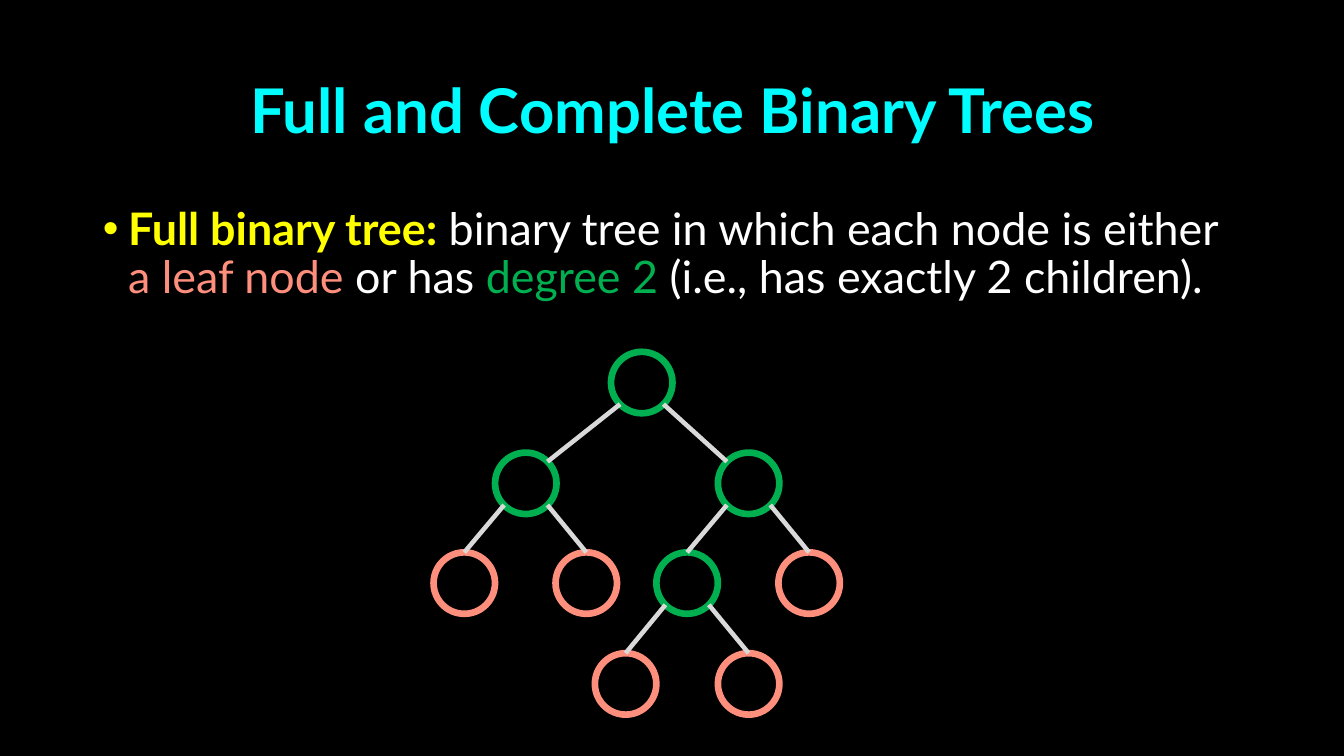
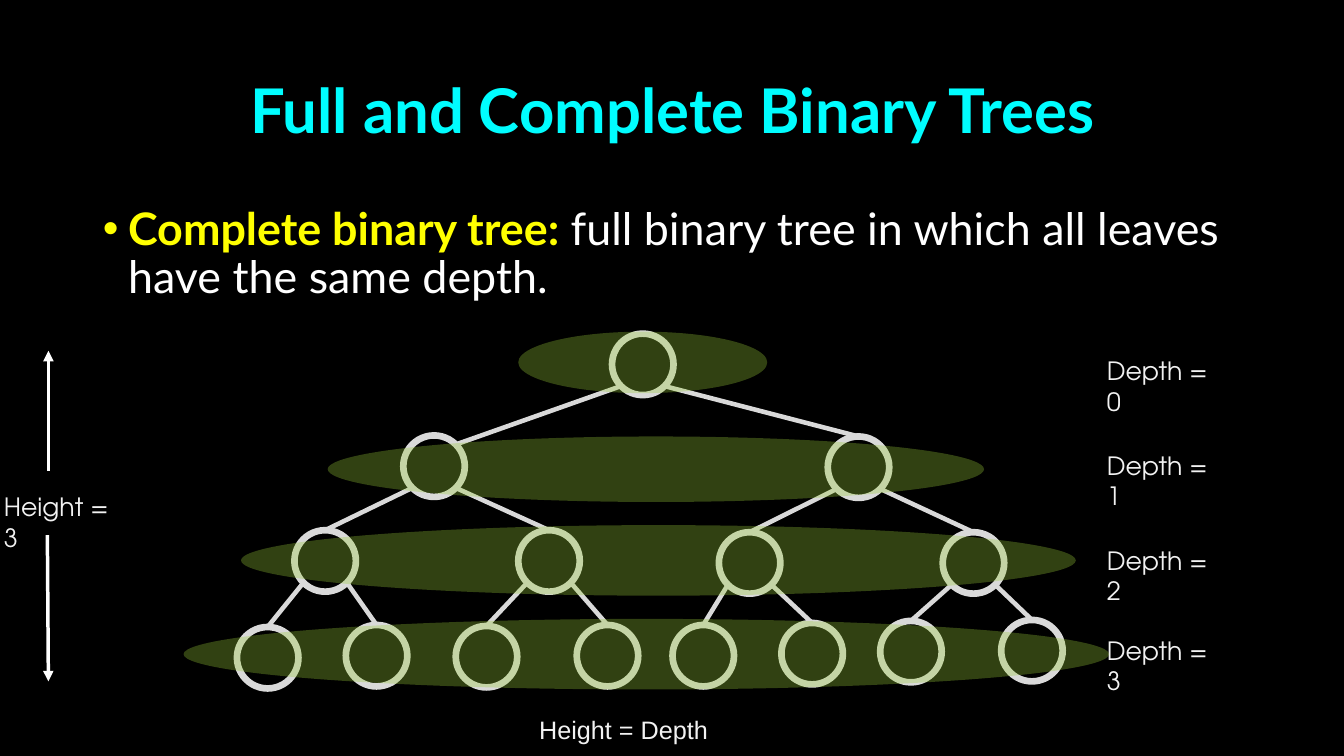
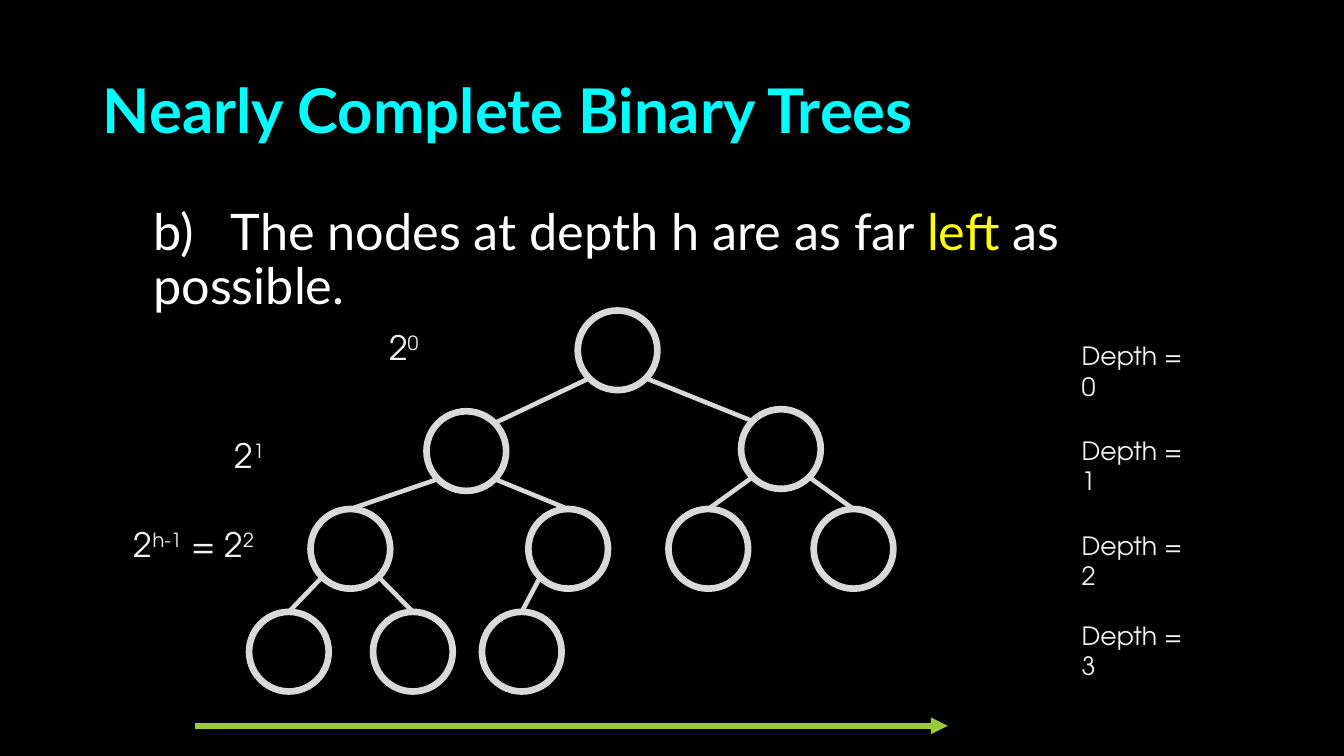
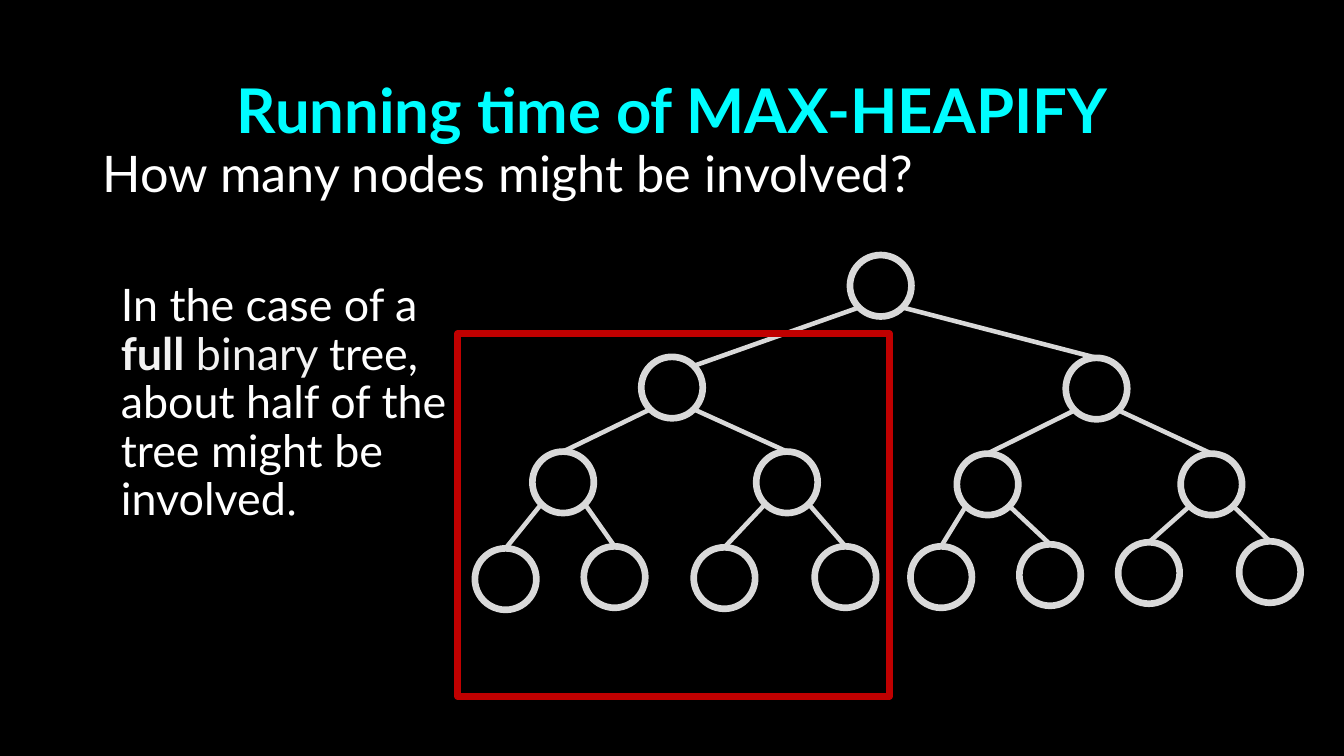
import dataclasses
import math

import lxml.etree
import pptx
import pptx.dml.color
import pptx.enum.shapes
import pptx.enum.text
import pptx.oxml.ns
import pptx.util

PX = 9144  # EMU in one px, 100 px to the inch
CENTER = pptx.enum.text.PP_ALIGN.CENTER
LEFT = pptx.enum.text.PP_ALIGN.LEFT
RIGHT = pptx.enum.text.PP_ALIGN.RIGHT
SHAPES = pptx.enum.shapes.MSO_SHAPE
CORNER = (1 - math.sqrt(0.5)) / 2  # inset of a circle's diagonal point


@dataclasses.dataclass(frozen=True)
class Theme:
    background: str = "000000"
    title: str = "00FDFF"
    text: str = "FFFFFF"
    label: str = "F2F2F2"
    key: str = "FFFF00"
    leaf_text: str = "FF8F7D"
    inner_text: str = "00B050"
    outline: str = "D9D9D9"
    accent: str = "99CB38"
    frame: str = "C00000"
    body_font: str = "Lato"
    label_font: str = "TeX Gyre Adventor"
    caption_font: str = "Arial"
    title_size: int = 44
    large_size: int = 36
    body_size: int = 32
    power_size: int = 24
    label_size: int = 18
    node_line: float = 4.75
    edge_line: float = 3.25
    band_alpha: int = 32


THEME = Theme()


def color(value):
    return pptx.dml.color.RGBColor.from_string(value)


def add_xml(parent, tag, **attributes):
    return lxml.etree.SubElement(parent, pptx.oxml.ns.qn(tag), attributes)


def set_all(target, values):
    for name, value in values.items():
        setattr(target, name, value)


class Deck:
    """Holds the style and the current slide."""

    def __init__(self, theme):
        self.theme = theme
        self.presentation = pptx.Presentation()
        set_all(self.presentation, {"slide_width": 1333 * PX, "slide_height": 750 * PX})
        fill = self.presentation.slide_master.background.fill
        fill.solid()
        fill.fore_color.rgb = color(theme.background)
        self.slide = None

    # Text
    def fill_text(self, shape, runs, base, format_values=None, margin=None, bullet=False):
        """Fill a shape with one paragraph; a run is (text, changes to base)."""
        paragraph = shape.text_frame.paragraphs[0]
        shape.text_frame.word_wrap = True
        set_all(paragraph, format_values or {})
        properties = paragraph._p.get_or_add_pPr()
        if margin is not None:
            left, indent = margin
            properties.set("marL", str(left * PX))
            properties.set("indent", str(indent * PX))
        if not bullet:
            add_xml(properties, "a:buNone")
        for text, changes in runs:
            style = {**base, **changes}
            run = paragraph.add_run()
            run.text = text
            run.font.color.rgb = color(style.pop("color"))
            baseline = style.pop("baseline", None)
            style["size"] = pptx.util.Pt(style["size"])
            set_all(run.font, style)
            if baseline:
                run.font._element.set("baseline", str(baseline * 1000))

    def place(self, shape, box):
        set_all(shape, dict(zip(("left", "top", "width", "height"), (n * PX for n in box))))

    def title_slide(self, text, alignment=CENTER):
        self.slide = self.presentation.slides.add_slide(self.presentation.slide_layouts[1])
        title = self.slide.shapes.title
        self.place(title, (92, 40, 1150, 145))
        style = {"name": self.theme.body_font, "size": self.theme.title_size,
                 "color": self.theme.title, "bold": True}
        self.fill_text(title, [(text, {})], style,
                       {"alignment": alignment, "line_spacing": 0.9})

    def body_style(self, size):
        return {"name": self.theme.body_font, "size": size,
                "color": self.theme.text, "bold": False}

    def body(self, box, runs, size, margin, bullet=False, level=0, before=10):
        body = self.slide.placeholders[1]
        self.place(body, box)
        values = {"level": level, "line_spacing": 0.9, "space_before": pptx.util.Pt(before)}
        self.fill_text(body, runs, self.body_style(size), values, margin, bullet)

    def text_box(self, box, runs, base, right_inset=10, margin=None, **format_values):
        shape = self.slide.shapes.add_textbox(*(n * PX for n in box))
        shape.text_frame.margin_right = right_inset * PX
        self.fill_text(shape, runs, base, format_values, margin)

    def label(self, box, runs, size, right_inset):
        style = {"name": self.theme.label_font, "size": size, "color": self.theme.label}
        self.text_box(box, runs, style, right_inset)

    def depth_labels(self, left, top):
        for depth, offset in enumerate((0, 94, 188, 277)):
            self.label((left, top + offset, 140, 40), [(f"Depth = {depth}", {})],
                       self.theme.label_size, 20)

    # Shapes and lines
    def outline(self, kind, box, line_color, width):
        shape = self.slide.shapes.add_shape(kind, *(n * PX for n in box))
        shape.shadow.inherit = False
        shape.fill.background()
        shape.line.color.rgb = color(line_color)
        shape.line.width = pptx.util.Pt(width)
        return shape

    def band(self, box):
        shape = self.slide.shapes.add_shape(SHAPES.OVAL, *(n * PX for n in box))
        shape.shadow.inherit = False
        shape.line.fill.background()
        shape.fill.solid()
        shape.fill.fore_color.rgb = color(self.theme.accent)
        rgb = shape._element.spPr.find(".//" + pptx.oxml.ns.qn("a:srgbClr"))
        add_xml(rgb, "a:alpha", val=str(self.theme.band_alpha * 1000))

    def line(self, start, end, line_color, width, arrow=False):
        connector = self.slide.shapes.add_connector(
            pptx.enum.shapes.MSO_CONNECTOR.STRAIGHT,
            *(round(n) * PX for n in (*start, *end)))
        connector.line.color.rgb = color(line_color)
        connector.line.width = pptx.util.Pt(width)
        if arrow:
            add_xml(connector.get_or_add_ln(), "a:tailEnd", type="triangle")
        add_xml(connector._element.spPr, "a:effectLst")
        return connector

    def tree(self, nodes, size, diagonal, inner=None, leaf=None):
        """Draw nodes keyed 1, 2, 3... so that node n has children 2n and 2n + 1.

        Edges reach the nodes in diagonal at their upper corner, others at the top.
        """
        near, far = size * CORNER, size * (1 - CORNER)
        circles = {}
        for number, (left, top) in nodes.items():
            line_color = (inner if 2 * number in nodes else leaf) or self.theme.outline
            circles[number] = self.outline(SHAPES.OVAL, (left, top, size, size),
                                           line_color, self.theme.node_line)
        for number, (left, top) in nodes.items():
            if number == 1:
                continue
            is_right = number % 2
            parent_left, parent_top = nodes[number // 2]
            start = (parent_left + (far if is_right else near), parent_top + far)
            end = (left + (near if is_right else far), top + near)
            edge = self.line(start, end, self.theme.outline, self.theme.edge_line)
            if number not in diagonal:
                edge.end_connect(circles[number], 0)


# Node corners (left, top), level by level
FULL_TREE = {1: (606, 349), 2: (491, 449), 3: (712, 449),
             4: (430, 548), 5: (551, 548), 6: (651, 548), 7: (772, 548),
             12: (590, 648), 13: (712, 648)}
COMPLETE_TREE = dict(enumerate((
    (607, 331), (400, 432), (821, 433),
    (292, 526), (514, 526), (713, 528), (935, 528),
    (235, 622), (343, 620), (452, 621), (572, 620),
    (667, 620), (775, 618), (873, 616), (993, 615)), 1))
NEARLY_COMPLETE_TREE = dict(enumerate((
    (573, 308), (423, 408), (735, 406),
    (308, 505), (524, 505), (663, 505), (807, 505),
    (247, 607), (370, 607), (478, 607)), 1))


def full_slide(deck):
    theme = deck.theme
    deck.title_slide("Full and Complete Binary Trees")
    deck.body((92, 200, 1150, 175), [
        ("Full binary tree: ", {"color": theme.key, "bold": True}),
        ("binary tree in which each node is either ", {}),
        ("a leaf node ", {"color": theme.leaf_text}),
        ("or has ", {}),
        ("degree 2", {"color": theme.inner_text}),
        (" (i.e., has exactly 2 children).", {}),
    ], theme.body_size, (25, -25), bullet=True)
    deck.tree(FULL_TREE, 61, {2, 3}, theme.inner_text, theme.leaf_text)


def complete_slide(deck):
    theme = deck.theme
    deck.title_slide("Full and Complete Binary Trees")
    deck.body((92, 200, 1150, 450), [
        ("Complete binary tree: ", {"color": theme.key, "bold": True}),
        ("full binary tree in which all leaves have the same depth.", {}),
    ], theme.body_size, (25, -25), bullet=True)
    caption = {"name": theme.caption_font, "size": theme.label_size, "color": theme.label}
    deck.text_box((504, 704, 208, 46), [("Height = Depth", {})], caption, alignment=RIGHT)
    deck.tree(COMPLETE_TREE, 61, {2})
    deck.depth_labels(1088, 348)
    # Height marker
    deck.label((-6, 483, 143, 40), [("Height = 3", {})], theme.label_size, 20)
    for start, end in (((48, 467), (48, 348)), ((47, 531), (48, 676))):
        deck.line(start, end, theme.text, 2.5, arrow=True)
    # One band for each depth
    for box in ((514, 329, 247, 61), (325, 433, 651, 65),
                (239, 521, 828, 70), (182, 614, 918, 70)):
        deck.band(box)


def nearly_complete_slide(deck):
    theme = deck.theme
    deck.title_slide("Nearly Complete Binary Trees", LEFT)
    deck.body((92, 200, 1150, 450), [
        ("b)   The nodes at depth h are as far ", {}),
        ("left", {"color": theme.key}),
        (" as possible.", {}),
    ], theme.large_size, (50, 0), level=1, before=5)
    deck.tree(NEARLY_COMPLETE_TREE, 79, {2, 3})
    deck.depth_labels(1063, 333)
    # Node counts as powers of two
    raised = {"baseline": 30}
    for box, runs in (
            ((376, 319, 51, 50), [("2", {}), ("0", raised)]),
            ((223, 427, 51, 50), [("2", {}), ("1", raised)]),
            ((123, 515, 142, 50), [("2", {}), ("h-1", raised), (" = 2", {}), ("2", raised)])):
        deck.label(box, runs, theme.power_size, 0)
    deck.line((193, 720), (940, 720), theme.accent, 4, arrow=True)


def running_time_slide(deck):
    theme = deck.theme
    deck.title_slide("Running time of MAX-HEAPIFY")
    deck.body((92, 143, 1074, 120), [("How many nodes might be involved?", {})],
              theme.large_size, (0, 0))
    deck.text_box((43, 276, 428, 331), [
        ("In the case of a ", {}),
        ("full", {"color": theme.label, "bold": True}),
        (" binary ", {"color": theme.label}),
        ("tree, about half of the tree might be involved", {}),
        (".", {"name": "Times New Roman"}),
    ], deck.body_style(theme.body_size), margin=(67, 0),
        line_spacing=0.9, space_before=pptx.util.Pt(10))
    shifted = {number: (left + 236, top - 78)
               for number, (left, top) in COMPLETE_TREE.items()}
    deck.tree(shifted, 61, {2})
    deck.outline(SHAPES.RECTANGLE, (454, 331, 428, 360), theme.frame, 5)


def main():
    deck = Deck(THEME)
    for build in (full_slide, complete_slide, nearly_complete_slide, running_time_slide):
        build(deck)
    deck.presentation.save("out.pptx")


if __name__ == "__main__":
    main()
